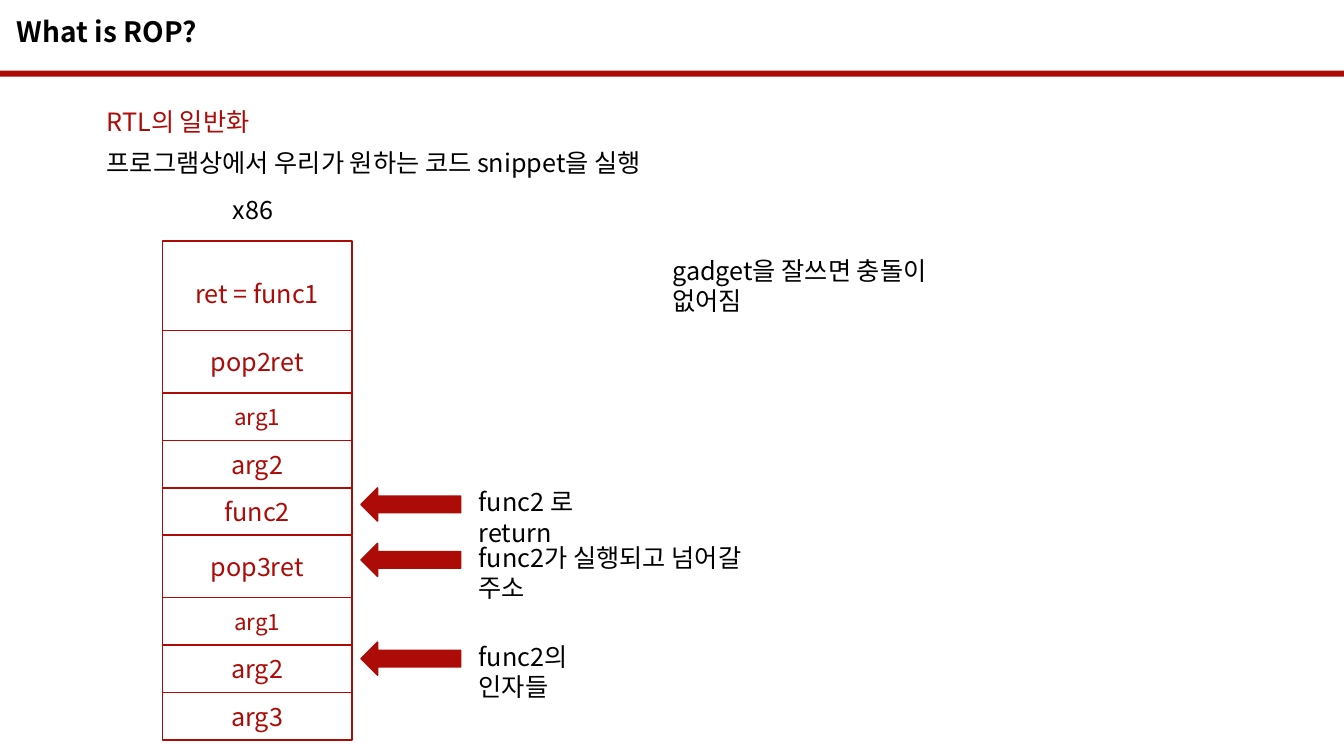
import pptx
import pptx.util
import pptx.dml.color
import pptx.enum.shapes
import pptx.enum.text
import pptx.oxml.ns
import lxml.etree

Inches = pptx.util.Inches
Kind = pptx.enum.shapes.MSO_SHAPE
Align = pptx.enum.text.PP_ALIGN
Anchor = pptx.enum.text.MSO_ANCHOR
FACE = "Noto Sans CJK KR"
RED, BLACK, WHITE = "AD0B07", "000000", "FFFFFF"


def color(code):
    """Turn a hex string into a colour."""
    return pptx.dml.color.RGBColor.from_string(code)


def apply(item, form):
    """Set attributes from a dict of format values."""
    for key, value in form.items():
        setattr(item, key, value)


def write(shape, words, size, ink, align=Align.LEFT, anchor=Anchor.TOP, bold=False):
    """Put one styled paragraph into a shape."""
    apply(shape.text_frame, {"word_wrap": True, "vertical_anchor": anchor})
    para = shape.text_frame.paragraphs[0]
    para.alignment = align
    run = para.add_run()
    run.text = words
    apply(run.font, {"name": FACE, "size": pptx.util.Pt(size), "bold": bold})
    run.font.color.rgb = color(ink)
    east = lxml.etree.SubElement(run.font._element, pptx.oxml.ns.qn("a:ea"))
    east.set("typeface", FACE)


def label(slide, box, words, size=18, ink=BLACK, bold=False):
    """Add a text box."""
    shape = slide.shapes.add_textbox(*map(Inches, box))
    write(shape, words, size, ink, bold=bold)


def block(slide, kind, box, fill, line=None):
    """Add a filled preset shape with an optional outline."""
    shape = slide.shapes.add_shape(kind, *map(Inches, box))
    shape.shadow.inherit = False
    shape.fill.solid()
    shape.fill.fore_color.rgb = color(fill)
    if line:
        shape.line.color.rgb = color(line)
        shape.line.width = pptx.util.Pt(1)
    else:
        shape.line.fill.background()
    return shape


def header(slide, left, top, width):
    """Draw the title and the red bar below it."""
    block(slide, Kind.RECTANGLE, (left, top + 0.7, width, 0.06), RED)
    label(slide, (left + 0.07, top + 0.09, 2.16, 0.44), "What is ROP?", 20, bold=True)


def intro(slide, left, top, width):
    """Draw the two opening lines."""
    label(slide, (left, top, width, 0.4), "RTL의 일반화", ink=RED)
    label(slide, (left, top + 0.4, width, 0.4), "프로그램상에서 우리가 원하는 코드 snippet을 실행")


def stack(slide, left, top, width, cells):
    """Draw the stack cells from top to bottom under their heading."""
    label(slide, (left + 0.6, top - 0.51, 0.8, 0.4), "x86")
    for words, size, high, step in cells:
        cell = block(slide, Kind.RECTANGLE, (left, top, width, high), WHITE, RED)
        write(cell, words, size, RED, Align.CENTER, Anchor.MIDDLE)
        top += step


def notes(slide, left, rows):
    """Draw red arrows with a remark beside each."""
    for top, wide, words in rows:
        block(slide, Kind.LEFT_ARROW, (left, top, 0.99, 0.33), RED, RED)
        label(slide, (left + 1.07, top - 0.06, wide, 0.4), words)


def build():
    """Build the slide and save it."""
    deck = pptx.Presentation()
    apply(deck, {"slide_width": Inches(13.33), "slide_height": Inches(7.5)})
    slide = deck.slides.add_slide(deck.slide_layouts[6])
    header(slide, 0, 0, 13.33)
    intro(slide, 0.96, 1.01, 8.87)
    tall, short = (0.62, 0.62), (0.47, 0.47)
    cells = [
        ("ret = func1", 18, 1.05, 0.89),
        ("pop2ret", 18, *tall),
        ("arg1", 16, *short),
        ("arg2", 18, *short),
        ("func2", 18, *short),
        ("pop3ret", 18, *tall),
        ("arg1", 16, *short),
        ("arg2", 18, *short),
        ("arg3", 18, *short),
    ]
    stack(slide, 1.61, 2.39, 1.88, cells)
    rows = [
        (4.84, 1.91, "func2 로 return"),
        (5.39, 3.27, "func2가 실행되고 넘어갈 주소"),
        (6.37, 1.81, "func2의 인자들"),
    ]
    notes(slide, 3.58, rows)
    label(slide, (6.57, 2.48, 3.43, 0.4), "gadget을 잘쓰면 충돌이 없어짐")
    deck.save("out.pptx")


build()
